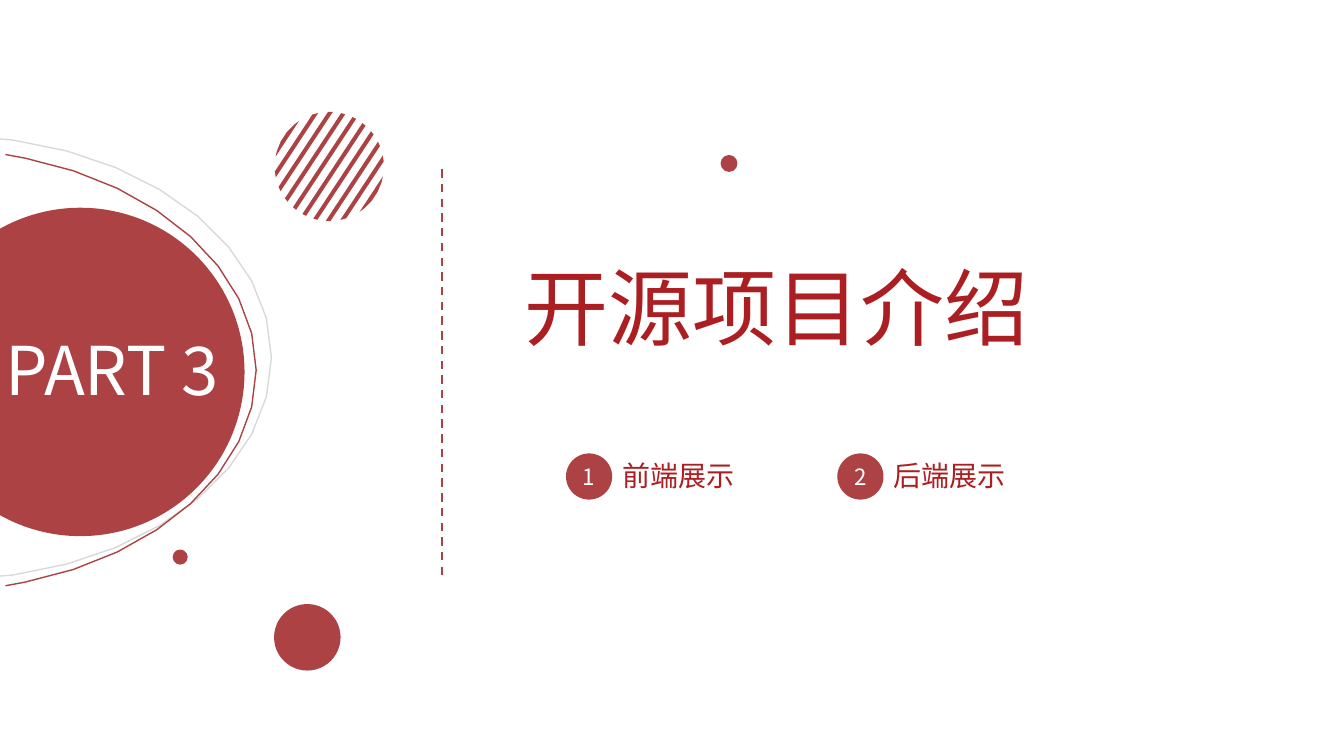
import math
from dataclasses import dataclass

import pptx
import pptx.dml.color
import pptx.enum.dml
import pptx.enum.shapes
import pptx.enum.text
import pptx.oxml.ns
import pptx.util
from lxml import etree

Pt = pptx.util.Pt
ALIGN = pptx.enum.text.PP_ALIGN
FONT = "Noto Sans CJK SC"
COLORS = {"brick": "AC4243", "crimson": "AB1E21", "grey": "D9D9D9", "white": "FFFFFF"}
Point = tuple[float, float]


@dataclass
class Arc:
    """Upper half of an open curve, mirrored about its last point."""
    start: Point
    bezier: tuple[Point, Point, Point, Point]
    color: str


@dataclass
class Dot:
    left: float
    top: float
    size: float


@dataclass
class Label:
    text: str
    left: float
    top: float
    width: float
    height: float
    size: float
    color: str
    align: ALIGN = ALIGN.LEFT
    wrap: bool = False


@dataclass
class Item:
    number: str
    text: str
    left: float


ARCS = [
    Arc((-7.9, 98.6), ((9.4, 100.1), (114.5, 114.5), (193.9, 178.6), (193.9, 255.4)), "grey"),
    Arc((3.9, 110.4), ((18, 113), (113, 131.8), (183, 193), (183, 264.4)), "brick"),
]
BIG_DISC = Dot(-59.9, 148.4, 234.6)
DOTS = [Dot(514.7, 110.7, 12.1), Dot(123.3, 392.5, 10.8), Dot(195.8, 431.5, 47.5)]
TITLE = Label("开源项目介绍", 367.2, 179.3, 374.4, 79.9, 60, "crimson", ALIGN.CENTER)
PART = Label("PART 3", -3.3, 231.1, 186.5, 123.8, 48, "white", wrap=True)
ITEMS = [Item("1", "前端展示", 404.3), Item("2", "后端展示", 598.1)]
ITEM_TOP, BADGE = 323.9, 33


def rgb(name: str) -> pptx.dml.color.RGBColor:
    return pptx.dml.color.RGBColor.from_string(COLORS[name])


def add_run(p, text: str, size: float, color: str) -> None:
    r = p.add_run()
    r.text = text
    r.font.size = Pt(size)
    r.font.color.rgb = rgb(color)
    r.font.name = FONT
    ea = etree.SubElement(r._r.get_or_add_rPr(), pptx.oxml.ns.qn("a:ea"))
    ea.set("typeface", FONT)


def fill_plain(sp) -> None:
    sp.shadow.inherit = False
    sp.fill.solid()
    sp.fill.fore_color.rgb = rgb("brick")
    sp.line.fill.background()


def add_dot(s, dot: Dot):
    sp = s.shapes.add_shape(pptx.enum.shapes.MSO_SHAPE.OVAL, Pt(dot.left), Pt(dot.top),
                            Pt(dot.size), Pt(dot.size))
    fill_plain(sp)
    return sp


def add_label(s, label: Label) -> None:
    sp = s.shapes.add_textbox(Pt(label.left), Pt(label.top), Pt(label.width), Pt(label.height))
    tf = sp.text_frame
    tf.word_wrap = label.wrap
    tf.auto_size = pptx.enum.text.MSO_AUTO_SIZE.SHAPE_TO_FIT_TEXT
    p = tf.paragraphs[0]
    p.alignment = label.align
    add_run(p, label.text, label.size, label.color)


def add_item(s, item: Item) -> None:
    add_label(s, Label(item.text, item.left + 33, ITEM_TOP, 94.3, 31.7, 20, "crimson"))
    tf = add_dot(s, Dot(item.left, ITEM_TOP, BADGE)).text_frame
    tf.vertical_anchor = pptx.enum.text.MSO_ANCHOR.MIDDLE
    p = tf.paragraphs[0]
    p.alignment = ALIGN.CENTER
    add_run(p, item.number, 16, "white")


def add_outline(s, contours: list[list[Point]], close: bool):
    paths = [[(Pt(x), Pt(y)) for x, y in contour] for contour in contours]
    fb = s.shapes.build_freeform(*paths[0][0])
    for i, path in enumerate(paths):
        if i:
            fb.move_to(*path[0])
        fb.add_line_segments(path[1:], close=close)
    return fb.convert_to_shape()


def add_arc(s, arc: Arc, steps: int = 8) -> None:
    upper = [arc.start]
    for i in range(steps + 1):
        t = i / steps
        weights = ((1 - t) ** 3, 3 * t * (1 - t) ** 2, 3 * t * t * (1 - t), t ** 3)
        upper.append((sum(w * x for w, (x, _) in zip(weights, arc.bezier)),
                      sum(w * y for w, (_, y) in zip(weights, arc.bezier))))
    axis = arc.bezier[-1][1]
    lower = [(x, 2 * axis - y) for x, y in reversed(upper[:-1])]
    sp = add_outline(s, [upper + lower], close=False)
    sp.shadow.inherit = False
    sp.fill.background()
    sp.line.color.rgb = rgb(arc.color)
    sp.line.width = Pt(1)


def add_striped_disc(s, cx: float, cy: float, radius: float) -> None:
    """Ten parallel bands cut off by the circle; the outer two are rounder."""
    count, pitch, band = 10, 8.3, 2.9
    angle = math.radians(56.6)
    ux, uy = math.cos(angle), -math.sin(angle)
    contours = []
    for k in range(count):
        steps = 2 if k in (0, count - 1) else 1
        lower, upper = [], []
        for i in range(steps + 1):
            d = (k - (count - 1) / 2) * pitch + (i / steps - 0.5) * band
            half = math.sqrt(radius ** 2 - d ** 2)
            x, y = cx - uy * d, cy + ux * d
            lower.append((x - half * ux, y - half * uy))
            upper.append((x + half * ux, y + half * uy))
        contours.append(lower + upper[::-1])
    fill_plain(add_outline(s, contours, close=True))


def add_divider(s) -> None:
    line = s.shapes.add_connector(pptx.enum.shapes.MSO_CONNECTOR.STRAIGHT,
                                  Pt(315.7), Pt(410.8), Pt(315.7), Pt(117))
    line.line.color.rgb = rgb("brick")
    line.line.width = Pt(1.5)
    line.line.dash_style = pptx.enum.dml.MSO_LINE.DASH
    etree.SubElement(line._element.spPr, pptx.oxml.ns.qn("a:effectLst"))


def main() -> None:
    prs = pptx.Presentation()
    prs.slide_width, prs.slide_height = Pt(960), Pt(540)
    s = prs.slides.add_slide(prs.slide_layouts[6])

    # Left emblem
    for arc in ARCS:
        add_arc(s, arc)
    add_dot(s, BIG_DISC)

    # Title and contents
    add_divider(s)
    add_label(s, TITLE)
    for item in ITEMS:
        add_item(s, item)

    # Decoration and part number
    add_striped_disc(s, 235.2, 118.9, 39)
    for dot in DOTS:
        add_dot(s, dot)
    add_label(s, PART)

    prs.save("out.pptx")


if __name__ == "__main__":
    main()
